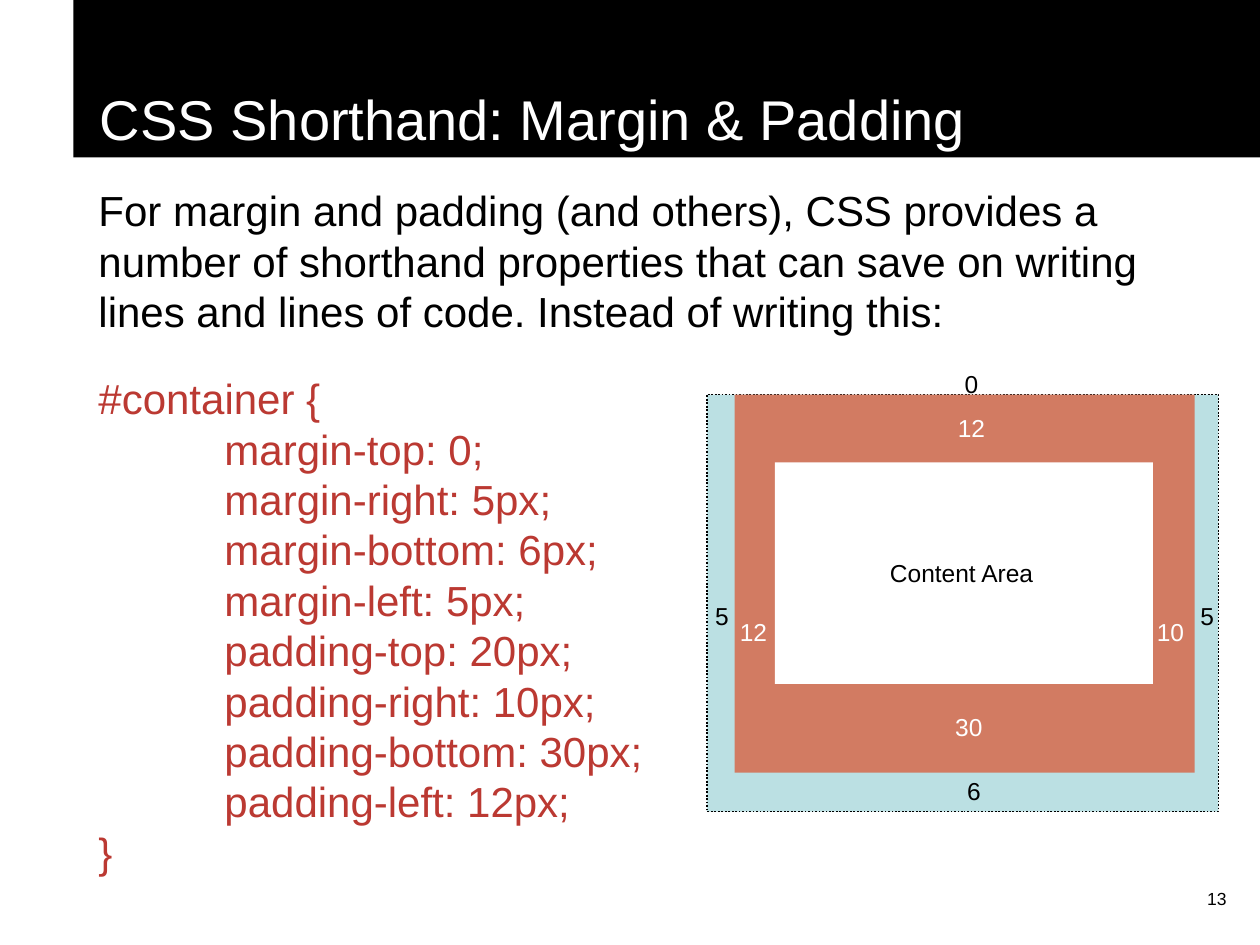
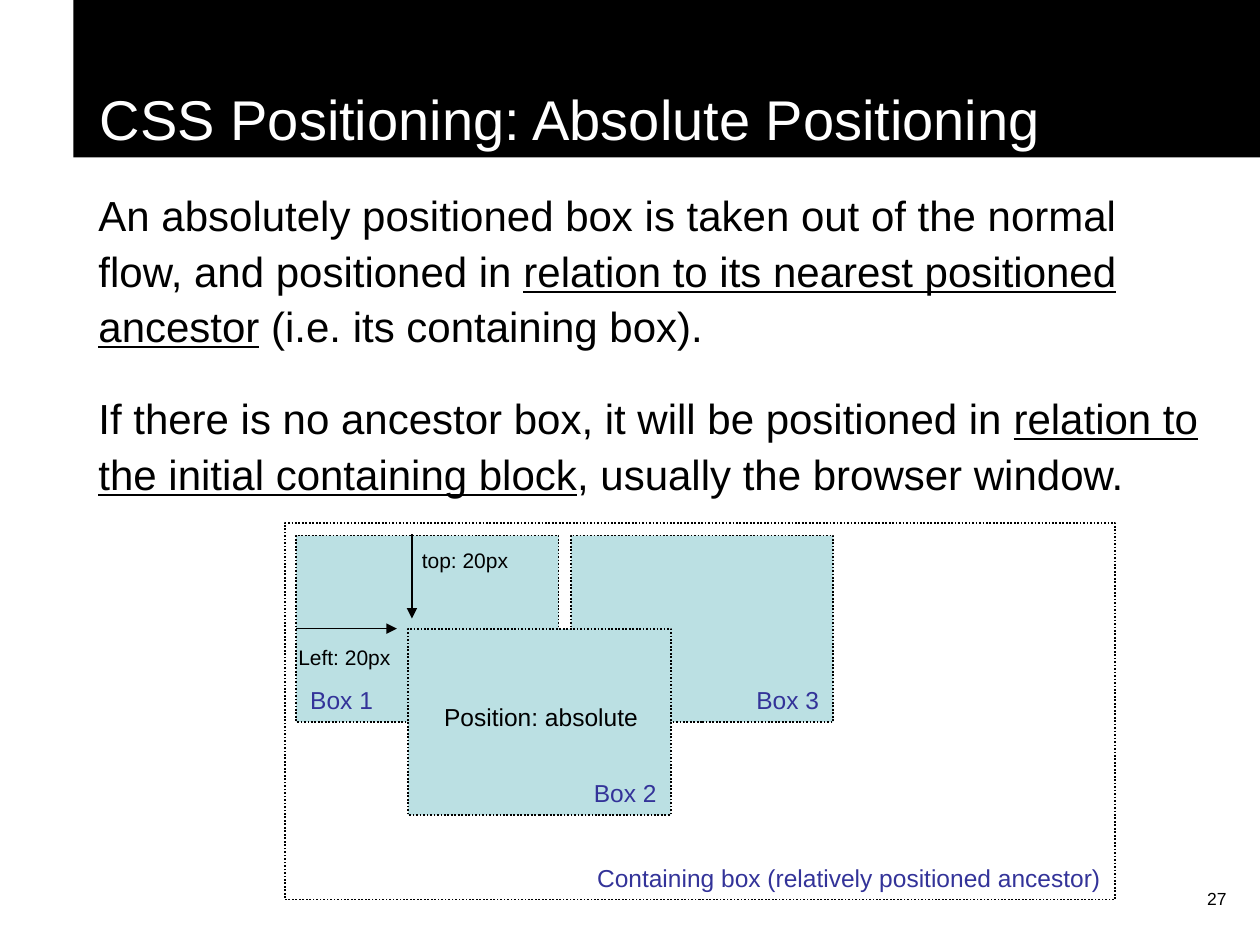
from lxml import etree
from pptx import Presentation
from pptx import util as u
from pptx.dml.color import RGBColor
from pptx.enum import dml, shapes, text
from pptx.oxml.ns import qn

FONT = "Arial"
COLOURS = {
    "black": "000000",
    "white": "FFFFFF",
    "code": "BB3932",
    "margin": "BBE0E3",
    "padding": "D27B62",
    "caption": "333399",
}
ALIGN = text.PP_ALIGN
LABEL_HEIGHT = 24.5
BOX_WIDTH, BOX_HEIGHT = 150, 106.5

SHORTHAND_CODE = (
    "#container {\n"
    "\tmargin-top: 0;\n"
    "\tmargin-right: 5px;\n"
    "\tmargin-bottom: 6px;\n"
    "\tmargin-left: 5px;\n"
    "\tpadding-top: 20px;\n"
    "\tpadding-right: 10px;\n"
    "\tpadding-bottom: 30px;\n"
    "\tpadding-left: 12px;\n"
    "}"
)


def rgb(colour):
    return RGBColor.from_string(COLOURS[colour])


def points(*lengths):
    return [u.Pt(length) for length in lengths]


def format_runs(para, size, colour):
    for span in para.runs:
        span.font.name = FONT
        span.font.size = u.Pt(size)
        span.font.color.rgb = rgb(colour)


def set_indent(para, indent):
    para._p.get_or_add_pPr().set("marL", str(u.Pt(indent)))


def add_tab_stop(para, position):
    """Add a left tab stop; call it after the paragraph spacing is set."""
    tabs = etree.SubElement(para._p.get_or_add_pPr(), qn("a:tabLst"))
    etree.SubElement(tabs, qn("a:tab"), pos=str(u.Pt(position)), algn="l")


def add_rectangle(page, left, top, width, height, fill=None, dotted=False):
    box = page.shapes.add_shape(
        shapes.MSO_SHAPE.RECTANGLE, *points(left, top, width, height))
    box.shadow.inherit = False
    if fill:
        box.fill.solid()
        box.fill.fore_color.rgb = rgb(fill)
    else:
        box.fill.background()
    if dotted:
        box.line.color.rgb = rgb("black")
        box.line.width = u.Pt(1)
        box.line.dash_style = dml.MSO_LINE.ROUND_DOT
    else:
        box.line.fill.background()
    return box


def add_label(page, words, left, top, width, colour="black",
              align=ALIGN.CENTER, size=14, height=LABEL_HEIGHT):
    box = page.shapes.add_textbox(*points(left, top, width, height))
    box.text_frame.word_wrap = True
    box.text_frame.text = words
    para = box.text_frame.paragraphs[0]
    para.alignment = align
    format_runs(para, size, colour)


def add_arrow(page, start, end, from_box=None, side=None):
    """Draw an arrow, joined at its start to a side of from_box if given."""
    arrow = page.shapes.add_connector(
        shapes.MSO_CONNECTOR.STRAIGHT, *points(*start, *end))
    if from_box is not None:
        arrow.begin_connect(from_box, side)
    arrow.line.color.rgb = rgb("black")
    arrow.line.width = u.Pt(0.75)
    etree.SubElement(arrow.line._get_or_add_ln(), qn("a:tailEnd"), type="triangle")
    etree.SubElement(arrow._element.spPr, qn("a:effectLst"))


def add_page(deck, title, number):
    page = deck.slides.add_slide(deck.slide_layouts[6])
    add_label(page, str(number), 558, 504, 150, align=ALIGN.RIGHT, size=10, height=36)
    band = add_rectangle(page, 42, 0, 678, 90, "black")
    band.text_frame.word_wrap = True
    band.text_frame.vertical_anchor = text.MSO_ANCHOR.BOTTOM
    band.text_frame.text = title
    para = band.text_frame.paragraphs[0]
    para.alignment = ALIGN.LEFT
    set_indent(para, 8)
    format_runs(para, 32, "white")
    return page


def add_body(page, height, paragraphs, line_spacing=None):
    """Each paragraph is a colour and its parts; every second part is underlined."""
    box = page.shapes.add_textbox(*points(42, 102, 654, height))
    frame = box.text_frame
    frame.word_wrap = True
    for index, (colour, parts) in enumerate(paragraphs):
        para = frame.add_paragraph() if index else frame.paragraphs[0]
        para.text = parts[0]
        for place, part in enumerate(parts[1:], 1):
            span = para.add_run()
            span.text = part
            span.font.underline = place % 2 == 1
        format_runs(para, 24, colour)
        set_indent(para, 7.2)
        para.line_spacing = line_spacing
        para.space_before = u.Pt(15)
        para.space_after = u.Pt(6)
        add_tab_stop(para, 72)


def add_caption(page, words, left, top, width, height, align=ALIGN.RIGHT):
    """Caption a box of the given bounds along its bottom edge."""
    add_label(page, words, left + 1, top + height - LABEL_HEIGHT, width - 2,
              "caption", align)


def add_box_model(page):
    add_rectangle(page, 404, 225.5, 292.3, 238.3, "margin", dotted=True)
    add_rectangle(page, 419.8, 225.5, 262.8, 216, "padding")
    add_rectangle(page, 442.8, 264.2, 216, 126.7, "white")
    add_label(page, "Content Area", 465, 315.4, 169)
    side_labels = [
        ("6", 522.7, 440, "black"),
        ("5", 378.7, 339.8, "black"),
        ("5", 656, 339.8, "black"),
        ("12", 396.7, 349.2, "white"),
        ("10", 635, 349.2, "white"),
        ("30", 519.8, 403.2, "white"),
        ("12", 521.3, 232.6, "white"),
        ("0", 521.3, 207.4, "black"),
    ]
    for words, left, top, colour in side_labels:
        add_label(page, words, left, top, 67.7, colour)


def add_positioned_boxes(page):
    size = (BOX_WIDTH, BOX_HEIGHT)
    first, second, third = (169.2, 306), (233.3, 359.3), (326.2, 306)
    container = (162.7, 298.8, 474.5, 215.3)
    first_box = add_rectangle(page, *first, *size, "margin", dotted=True)
    add_rectangle(page, *third, *size, "margin", dotted=True)
    add_rectangle(page, *container, dotted=True)
    add_rectangle(page, *second, *size, "margin", dotted=True)

    add_label(page, "Left: 20px", 163.4, 365, 80, align=ALIGN.LEFT, size=12, height=21.6)
    add_label(page, "top: 20px", 234, 309.6, 80, align=ALIGN.LEFT, size=12, height=21.6)
    add_label(page, "Position: absolute", 235.4, 397.4, 147.6)
    add_caption(page, "Box 1", *first, *size, align=ALIGN.LEFT)
    add_caption(page, "Box 2", *second, *size)
    add_caption(page, "Box 3", *third, *size)
    add_caption(page, "Containing box (relatively positioned ancestor)", *container)

    middle = first[1] + BOX_HEIGHT / 2
    add_arrow(page, (235.4, 305.3), (235.4, 353.5))
    add_arrow(page, (first[0], middle), (226.8, middle), first_box, 1)


def main():
    deck = Presentation()
    deck.slide_width, deck.slide_height = points(720, 540)

    page = add_page(deck, "CSS Shorthand: Margin & Padding", 13)
    add_body(page, 407, [
        ("black", ["For margin and padding (and others), CSS provides a number of "
                   "shorthand properties that can save on writing lines and lines "
                   "of code. Instead of writing this:"]),
        ("code", [SHORTHAND_CODE]),
    ])
    add_box_model(page)

    page = add_page(deck, "CSS Positioning: Absolute Positioning", 27)
    add_body(page, 243, [
        ("black", ["An absolutely positioned box is taken out of the normal flow, "
                   "and positioned in ",
                   "relation to its nearest positioned ancestor",
                   " (i.e. its containing box)."]),
        ("black", ["If there is no ancestor box, it will be positioned in ",
                   "relation to the initial containing block",
                   ", usually the browser window."]),
    ], line_spacing=1.1)
    add_positioned_boxes(page)

    deck.save("out.pptx")


if __name__ == "__main__":
    main()
